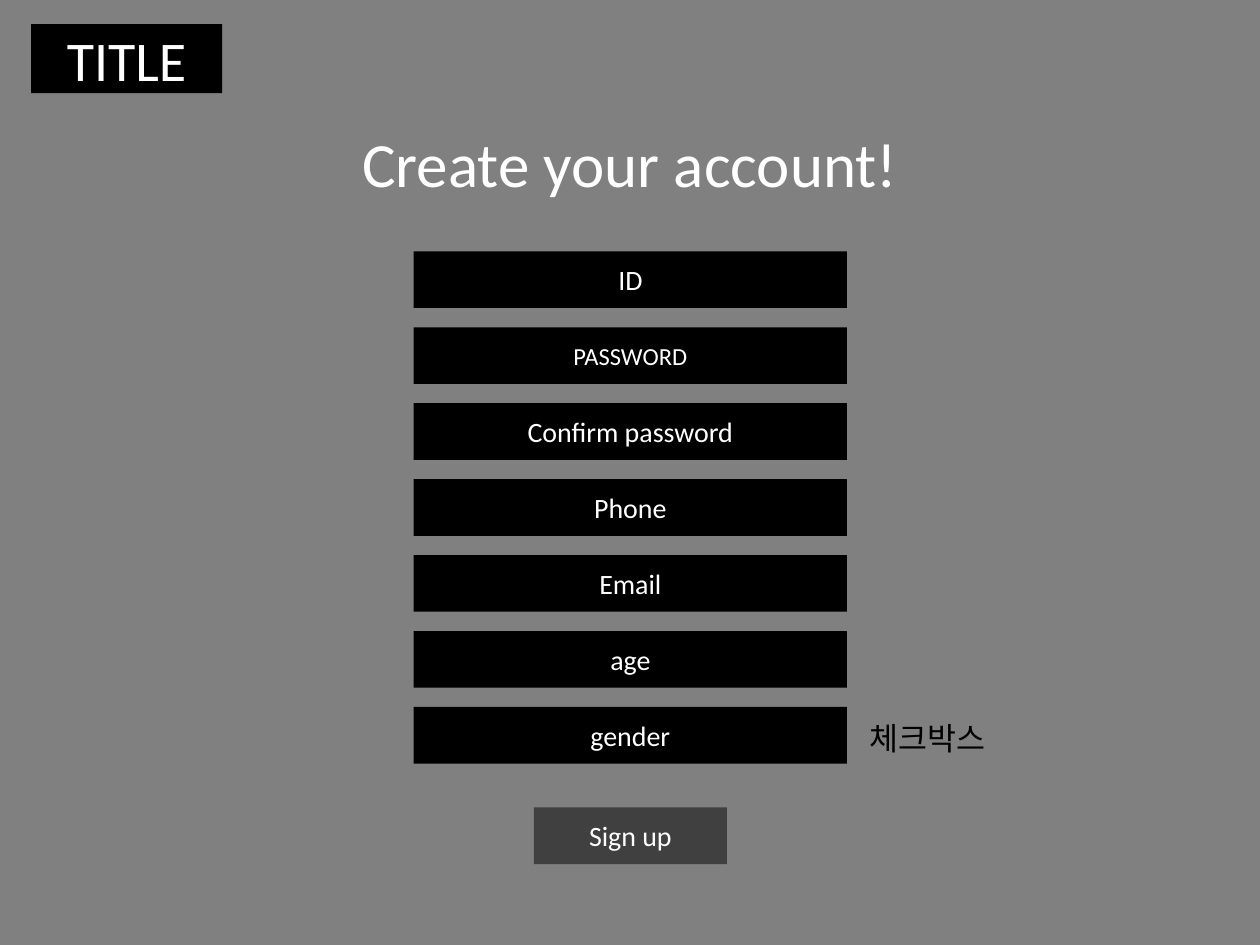
from pptx import Presentation
from pptx.dml.color import RGBColor
from pptx.enum.shapes import MSO_SHAPE
from pptx.enum.text import MSO_ANCHOR, MSO_AUTO_SIZE, PP_ALIGN
from pptx.util import Pt

RECTANGLE = MSO_SHAPE.RECTANGLE
TOP, MIDDLE = MSO_ANCHOR.TOP, MSO_ANCHOR.MIDDLE
LEFT, CENTER = PP_ALIGN.LEFT, PP_ALIGN.CENTER
GROW = MSO_AUTO_SIZE.SHAPE_TO_FIT_TEXT
NO_FIT = MSO_AUTO_SIZE.NONE
TITLE_ONLY = 5
FONT = "Calibri"
COLORS = {
    "background": "808080",
    "field": "000000",
    "button": "404040",
    "light": "FFFFFF",
    "dark": "000000",
}


def set_text(shape, text, size=16, color="light", align=CENTER, anchor=MIDDLE, fit=NO_FIT):
    """Write one formatted paragraph into a shape."""
    frame = shape.text_frame
    frame.word_wrap = True
    frame.auto_size = fit
    frame.vertical_anchor = anchor
    paragraph = frame.paragraphs[0]
    paragraph.alignment = align
    run = paragraph.add_run()
    run.text = text
    run.font.name = FONT
    run.font.size = Pt(size)
    run.font.color.rgb = RGBColor.from_string(COLORS[color])


def add_box(left, top, width, height, text, fill="field", size=16):
    """Add a filled rectangle with a centred label."""
    shape = slide.shapes.add_shape(RECTANGLE, Pt(left), Pt(top), Pt(width), Pt(height))
    shape.shadow.inherit = False
    shape.fill.solid()
    shape.fill.fore_color.rgb = RGBColor.from_string(COLORS[fill])
    shape.line.fill.background()
    set_text(shape, text, size=size)


presentation = Presentation()
presentation.slide_width = Pt(720)
presentation.slide_height = Pt(540)
slide = presentation.slides.add_slide(presentation.slide_layouts[TITLE_ONLY])
slide.background.fill.solid()
slide.background.fill.fore_color.rgb = RGBColor.from_string(COLORS["background"])

# Header
add_box(17.8, 13.8, 109.2, 39.5, "TITLE", size=32)
heading = slide.shapes.title
heading.left, heading.top, heading.width, heading.height = Pt(177.5), Pt(67.7), Pt(365), Pt(51)
set_text(heading, "Create your account!", size=36, anchor=TOP, fit=GROW)

# Form fields
field_left, field_width, field_height = 236.4, 247.6, 32.4
first_top, field_step = 143.6, 43.4
fields = [
    ("ID", 16),
    ("PASSWORD", 14),
    ("Confirm password", 16),
    ("Phone", 16),
    ("Email", 16),
    ("age", 16),
    ("gender", 16),
]
for index, (label, size) in enumerate(fields):
    add_box(field_left, first_top + index * field_step, field_width, field_height, label, size=size)

# Checkbox note and button
note = slide.shapes.add_textbox(Pt(489.6), Pt(407.5), Pt(107.3), Pt(29))
set_text(note, "체크박스", size=18, color="dark", align=LEFT, anchor=TOP, fit=GROW)
add_box(305, 461.4, 110.4, field_height, "Sign up", fill="button")

presentation.save("out.pptx")
